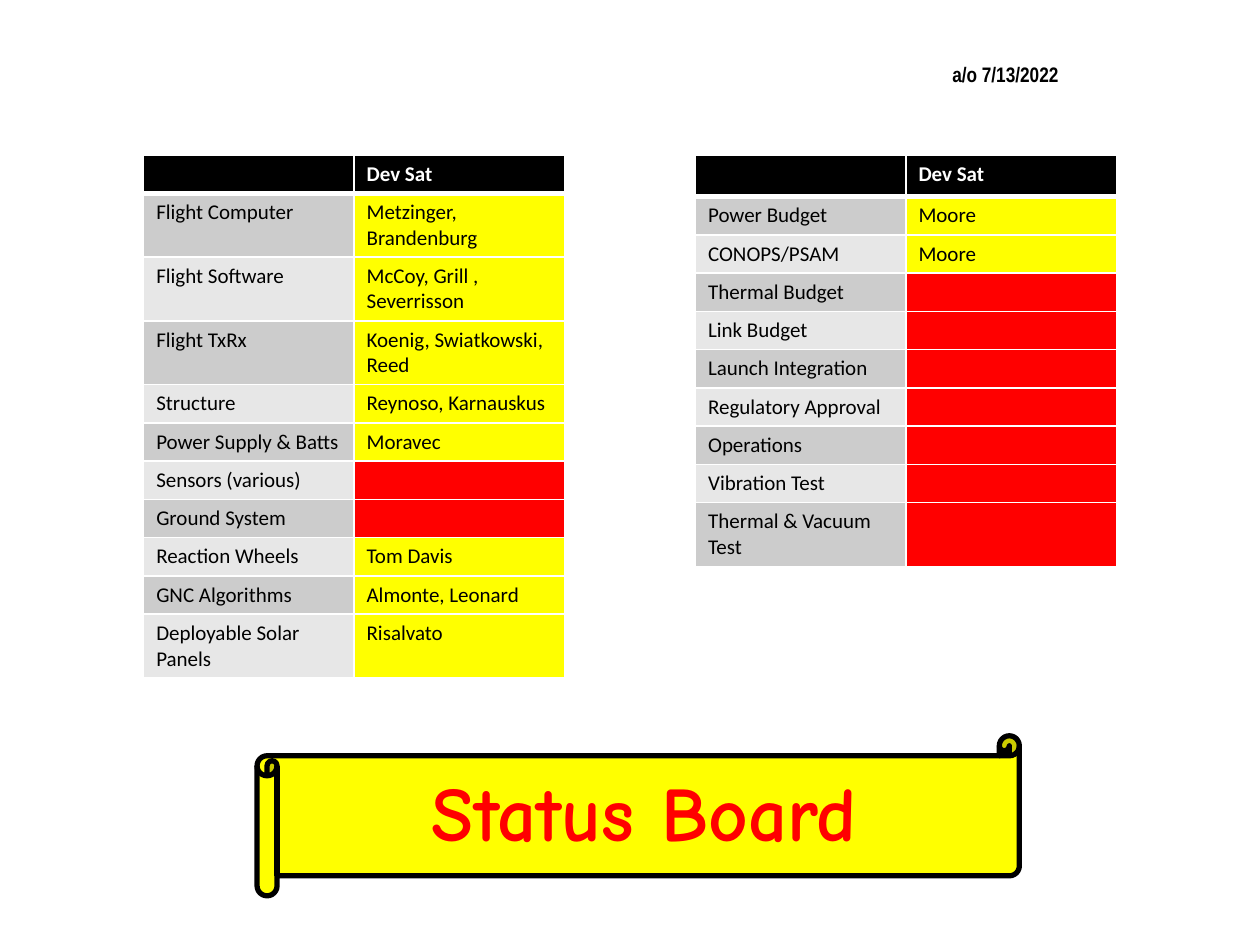
"""Build the satellite status board slide."""
import dataclasses

import lxml.etree
import pptx
import pptx.dml.color
import pptx.enum.shapes
import pptx.enum.text
import pptx.oxml.ns
import pptx.util

Inches, Pt, qn = pptx.util.Inches, pptx.util.Pt, pptx.oxml.ns.qn
BLACK, WHITE, RED, YELLOW = "000000", "FFFFFF", "FF0000", "FFFF00"
BANDS = ("CCCCCC", "E7E7E7")
COL_W, ROW_H, TALL_ROW_H = 1.67, 0.3, 0.5


@dataclasses.dataclass
class Task:
    name: str
    owner: str = ""
    height: float = ROW_H


@dataclasses.dataclass
class Board:
    left: float
    header_height: float
    tasks: list[Task]


BOARDS = [
    Board(1.14, ROW_H, [
        Task("Flight Computer", "Metzinger, Brandenburg", TALL_ROW_H),
        Task("Flight Software", "McCoy, Grill , Severrisson", TALL_ROW_H),
        Task("Flight TxRx", "Koenig, Swiatkowski, Reed", TALL_ROW_H),
        Task("Structure", "Reynoso, Karnauskus"),
        Task("Power Supply & Batts", "Moravec"),
        Task("Sensors (various)"),
        Task("Ground System"),
        Task("Reaction Wheels", "Tom Davis"),
        Task("GNC Algorithms", "Almonte, Leonard"),
        Task("Deployable Solar Panels", "Risalvato", TALL_ROW_H),
    ]),
    Board(5.52, 0.33, [
        Task("Power Budget", "Moore"),
        Task("CONOPS/PSAM", "Moore"),
        Task("Thermal Budget"),
        Task("Link Budget"),
        Task("Launch Integration"),
        Task("Regulatory Approval"),
        Task("Operations"),
        Task("Vibration Test"),
        Task("Thermal & Vacuum Test", height=TALL_ROW_H),
    ]),
]


def rgb(color: str) -> pptx.dml.color.RGBColor:
    return pptx.dml.color.RGBColor.from_string(color)


def paint(target, color: str) -> None:
    target.fill.solid()
    target.fill.fore_color.rgb = rgb(color)


def write(tf, text: str, *, size: int = 12, font: str = "Calibri",
          color: str = BLACK, bold: bool = False, align=None) -> None:
    p = tf.paragraphs[0]
    p.alignment = align
    if not text:
        p._p.get_or_add_endParaRPr().set("sz", str(size * 100))
        return
    r = p.add_run()
    r.text = text
    r.font.size, r.font.name, r.font.bold = Pt(size), font, bold
    r.font.color.rgb = rgb(color)


def set_borders(cell, bottom: float) -> None:
    tc_pr = cell._tc.get_or_add_tcPr()
    widths = {"a:lnL": 1, "a:lnR": 1, "a:lnT": 1, "a:lnB": bottom}
    for i, (tag, width) in enumerate(widths.items()):
        ln = lxml.etree.Element(qn(tag), w=str(Pt(width)))
        fill = lxml.etree.SubElement(ln, qn("a:solidFill"))
        lxml.etree.SubElement(fill, qn("a:srgbClr"), val=WHITE)
        tc_pr.insert(i, ln)


def fill_cell(cell, text: str, fill: str, bottom: float = 1, **fmt) -> None:
    paint(cell, fill)
    set_borders(cell, bottom)
    write(cell.text_frame, text, **fmt)


def add_board(shapes, board: Board) -> None:
    heights = [board.header_height] + [task.height for task in board.tasks]
    table = shapes.add_table(len(heights), 2, Inches(board.left), Inches(1.23),
                             Inches(2 * COL_W), Inches(sum(heights))).table
    for col in table.columns:
        col.width = Inches(COL_W)
    for row, height in zip(table.rows, heights):
        row.height = Inches(height)
    for c, heading in enumerate(("", "Dev Sat")):
        fill_cell(table.cell(0, c), heading, BLACK, 3, color=WHITE, bold=True)
    for i, task in enumerate(board.tasks):
        fill_cell(table.cell(i + 1, 0), task.name, BANDS[i % 2])
        fill_cell(table.cell(i + 1, 1), task.owner, YELLOW if task.owner else RED)


def add_text(shapes, box: tuple[float, ...], text: str, **fmt) -> None:
    tf = shapes.add_textbox(*map(Inches, box)).text_frame
    tf.word_wrap = True
    tf.auto_size = pptx.enum.text.MSO_AUTO_SIZE.SHAPE_TO_FIT_TEXT
    write(tf, text, **fmt)


def add_banner(shapes) -> None:
    group = shapes.add_group_shape().shapes
    scroll = group.add_shape(pptx.enum.shapes.MSO_SHAPE.HORIZONTAL_SCROLL,
                             Inches(2.04), Inches(5.84), Inches(6.05), Inches(1.27))
    scroll.shadow.inherit = False
    paint(scroll, YELLOW)
    scroll.line.color.rgb = rgb(BLACK)
    scroll.line.width = Pt(3)
    add_text(group, (1.74, 6.02, 6.75, 0.84), "Status Board", size=44,
             font="Comic Neue", color=RED, bold=True,
             align=pptx.enum.text.PP_ALIGN.CENTER)


def main() -> None:
    prs = pptx.Presentation()
    prs.slide_width, prs.slide_height = Inches(10), Inches(7.5)
    s = prs.slides.add_slide(prs.slide_layouts[6])
    for board in BOARDS:
        add_board(s.shapes, board)
    add_banner(s.shapes)
    add_text(s.shapes, (7.46, 0.44, 1.26, 0.3), "a/o 7/13/2022",
             font="Arial Narrow", bold=True)
    prs.save("out.pptx")


main()
